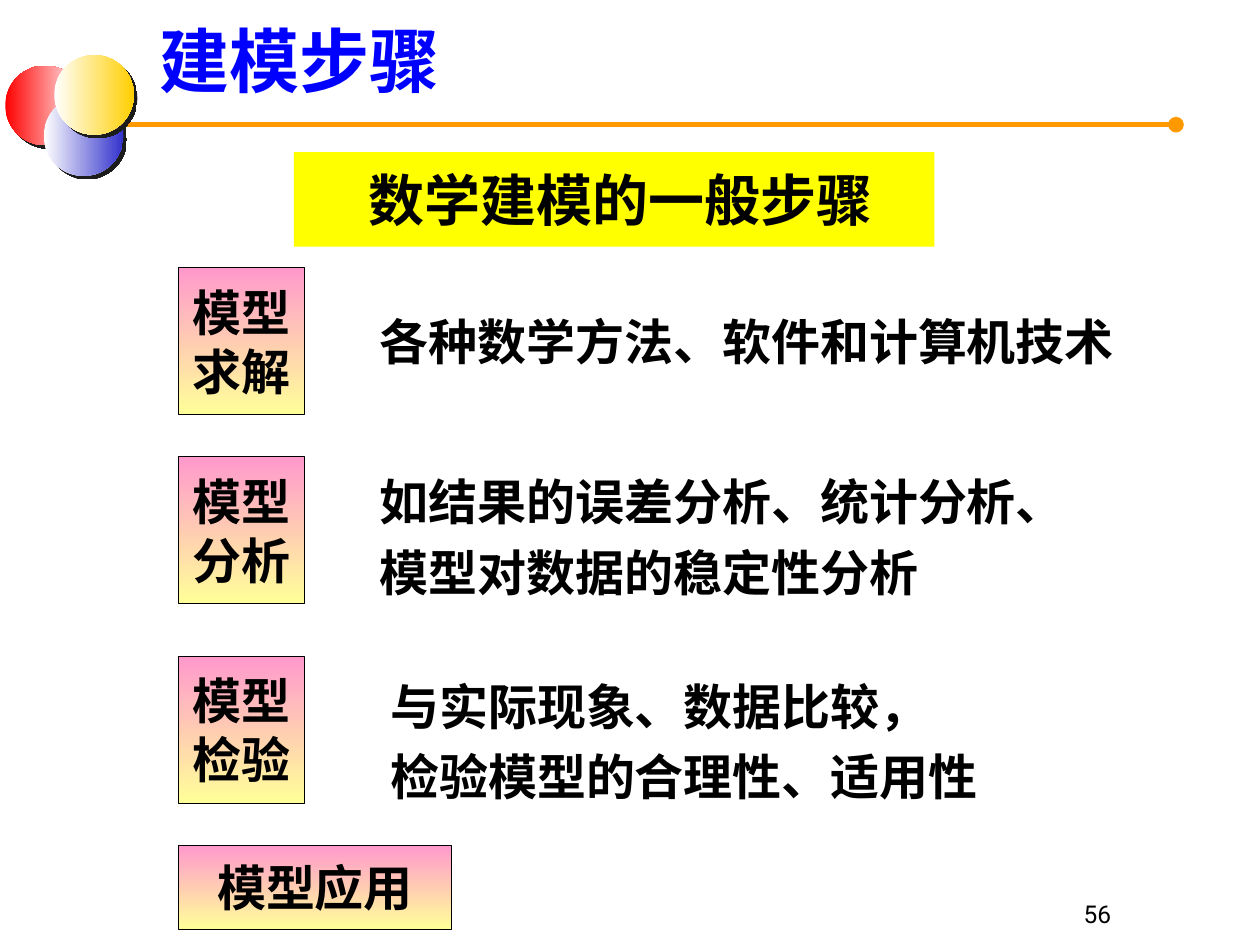
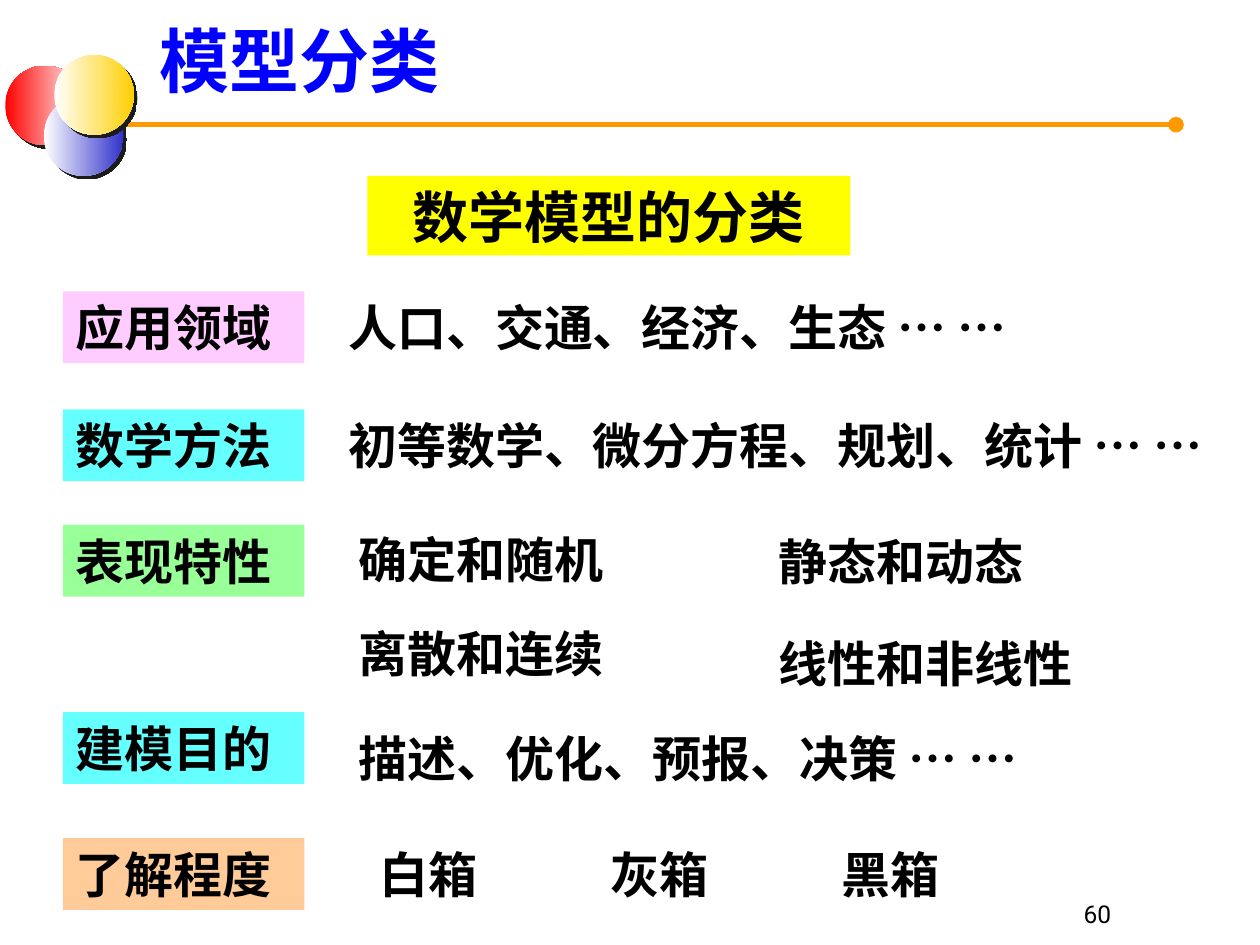
from dataclasses import dataclass
from typing import Optional

from lxml import etree
from pptx import Presentation
from pptx.dml.color import RGBColor
from pptx.enum import dml, lang, shapes, text
from pptx.oxml import ns
from pptx.util import Pt


@dataclass(frozen=True)
class Theme:
    font: str = "Times New Roman"
    number_font: str = "Roboto"
    title_size: float = 40
    heading_size: float = 32
    body_size: float = 28
    number_size: float = 14
    ink: str = "000000"
    title: str = "0000FF"
    paper: str = "FFFFFF"
    rule: str = "FF9900"
    shade: str = "1C1C1C"
    heading: str = "FFFF00"
    step: tuple = ("FF99CC", "FFFF99")
    pink: str = "FFCCFF"
    cyan: str = "66FFFF"
    green: str = "99FF99"
    orange: str = "FFCC99"


THEME = Theme()
LEFT, CENTER, RIGHT = text.PP_ALIGN.LEFT, text.PP_ALIGN.CENTER, text.PP_ALIGN.RIGHT
TOP, MIDDLE, BOTTOM = text.MSO_ANCHOR.TOP, text.MSO_ANCHOR.MIDDLE, text.MSO_ANCHOR.BOTTOM


@dataclass(frozen=True)
class Label:
    """A block of text, one paragraph per line, on an optional filled rectangle."""
    lines: tuple
    left: float
    top: float
    width: float
    height: float
    fill: Optional[object] = None
    outlined: bool = False
    size: float = THEME.body_size
    color: str = THEME.ink
    font: str = THEME.font
    bold: bool = True
    align: object = LEFT
    anchor: object = TOP
    spacing: float = 1.0
    inset: float = 7.2


@dataclass(frozen=True)
class Ball:
    left: float
    top: float
    colors: tuple


BALL_SIZE = 45.5
BALLS = (
    Ball(3, 37.5, ("FF0000", THEME.paper)),
    Ball(25, 55, (THEME.paper, "3333CC")),
    Ball(31, 31.5, (THEME.paper, "FFCF01")),
)


def rgb(color: str) -> RGBColor:
    return RGBColor.from_string(color)


def paint(shape, fill, angle: float = 0) -> None:
    """Fill with one colour, or with a gradient when given a pair."""
    if isinstance(fill, tuple):
        shape.fill.gradient()
        shape.fill.gradient_angle = angle
        for stop, color in zip(shape.fill.gradient_stops, fill):
            stop.color.rgb = rgb(color)
    else:
        shape.fill.solid()
        shape.fill.fore_color.rgb = rgb(fill)


def add_label(page, label: Label) -> None:
    place = [Pt(n) for n in (label.left, label.top, label.width, label.height)]
    if label.fill is None:
        box = page.shapes.add_textbox(*place)
    else:
        box = page.shapes.add_shape(shapes.MSO_SHAPE.RECTANGLE, *place)
        box.shadow.inherit = False
        paint(box, label.fill, 270)
        if label.outlined:
            box.line.color.rgb = rgb(THEME.ink)
            box.line.width = Pt(0.75)
        else:
            box.line.fill.background()
    frame = box.text_frame
    frame.word_wrap = True
    frame.vertical_anchor = label.anchor
    frame.margin_left = Pt(label.inset)
    for index, line in enumerate(label.lines):
        para = frame.add_paragraph() if index else frame.paragraphs[0]
        para.alignment = label.align
        para.line_spacing = label.spacing
        span = para.add_run()
        span.text = line
        span.font.name = label.font
        span.font.size = Pt(label.size)
        span.font.bold = label.bold
        span.font.color.rgb = rgb(label.color)
        span.font.language_id = lang.MSO_LANGUAGE_ID.SIMPLIFIED_CHINESE


def add_rule(page) -> None:
    rule = page.shapes.add_connector(
        shapes.MSO_CONNECTOR.STRAIGHT, Pt(36.75), Pt(71.25), Pt(672), Pt(71.25))
    rule.line.color.rgb = rgb(THEME.rule)
    rule.line.width = Pt(3)
    stroke = rule.line._get_or_add_ln()
    for end in ("a:headEnd", "a:tailEnd"):
        etree.SubElement(stroke, ns.qn(end), type="oval")
    etree.SubElement(rule._element.spPr, ns.qn("a:effectLst"))


def add_ball(group, ball: Ball) -> None:
    disc = group.shapes.add_shape(
        shapes.MSO_SHAPE.OVAL, Pt(ball.left), Pt(ball.top), Pt(BALL_SIZE), Pt(BALL_SIZE))
    paint(disc, ball.colors)
    disc.line.fill.background()
    disc.shadow.inherit = False
    effects = disc._element.spPr.find(ns.qn("a:effectLst"))
    shadow = etree.SubElement(effects, ns.qn("a:outerShdw"), dist=str(Pt(2.8)),
                              dir="2700000", algn="ctr", rotWithShape="0")
    etree.SubElement(shadow, ns.qn("a:srgbClr"), val=THEME.shade)


def add_page(deck, title: str, number: str, labels: list) -> None:
    page = deck.slides.add_slide(deck.slide_layouts[6])
    add_rule(page)
    group = page.shapes.add_group_shape()
    for ball in BALLS:
        add_ball(group, ball)
    add_label(page, Label((title,), 84, 6.5, 620, 47.5, fill=THEME.paper,
                          size=THEME.title_size, color=THEME.title))
    for label in labels:
        add_label(page, label)
    add_label(page, Label((number,), 492, 498, 150, 36, size=THEME.number_size,
                          font=THEME.number_font, bold=False, align=RIGHT, anchor=BOTTOM))


def heading(line: str, left: float, top: float, width: float, height: float,
            inset: float = 7.2) -> Label:
    return Label((line,), left, top, width, height, fill=THEME.heading,
                 size=THEME.heading_size, align=CENTER, anchor=MIDDLE, inset=inset)


def step(lines: tuple, top: float, width: float = 72, height: float = 84) -> Label:
    return Label(lines, 102, top, width, height, fill=THEME.step, outlined=True,
                 align=CENTER, anchor=MIDDLE)


def detail(lines: tuple, left: float, top: float, width: float, height: float) -> Label:
    return Label(lines, left, top, width, height, anchor=MIDDLE,
                 spacing=1.2 if len(lines) > 1 else 1.0)


def category(line: str, top: float, fill: str) -> Label:
    return Label((line,), 36, top, 138, 41, fill=fill)


def example(line: str, left: float, top: float, width: float) -> Label:
    return Label((line,), left, top, width, 41)


def main() -> None:
    deck = Presentation()
    deck.slide_width, deck.slide_height = Pt(720), Pt(540)

    add_page(deck, "建模步骤", "56", [
        heading("数学建模的一般步骤", 168, 87, 366, 54, inset=15),
        step(("模型", "求解"), 153),
        detail(("各种数学方法、软件和计算机技术",), 210, 171, 438, 48),
        step(("模型", "分析"), 261),
        detail(("如结果的误差分析、统计分析、", "模型对数据的稳定性分析"), 210, 261, 432, 84),
        step(("模型", "检验"), 375),
        detail(("与实际现象、数据比较，", "检验模型的合理性、适用性"), 216, 375, 426, 90),
        step(("模型应用",), 483, width=156, height=48),
    ])

    boxes = [example(name, 210 + 132 * column, 479, 78)
             for column, name in enumerate(("白箱", "灰箱", "黑箱"))]
    add_page(deck, "模型分类", "60", [
        heading("数学模型的分类", 210, 100.5, 276, 45.5),
        category("应用领域", 166.5, THEME.pink),
        example("人口、交通、经济、生态 … …", 192, 166.5, 432),
        category("数学方法", 234, THEME.cyan),
        example("初等数学、微分方程、规划、统计 … …", 192, 234, 528),
        category("表现特性", 300, THEME.green),
        example("确定和随机", 198, 299, 156),
        example("静态和动态", 438, 300, 156),
        example("离散和连续", 198, 353, 156),
        example("线性和非线性", 438, 358.5, 192),
        category("建模目的", 407, THEME.cyan),
        example("描述、优化、预报、决策 … …", 198, 412.5, 486),
        category("了解程度", 479, THEME.orange),
        *boxes,
    ])
    deck.save("out.pptx")


if __name__ == "__main__":
    main()
